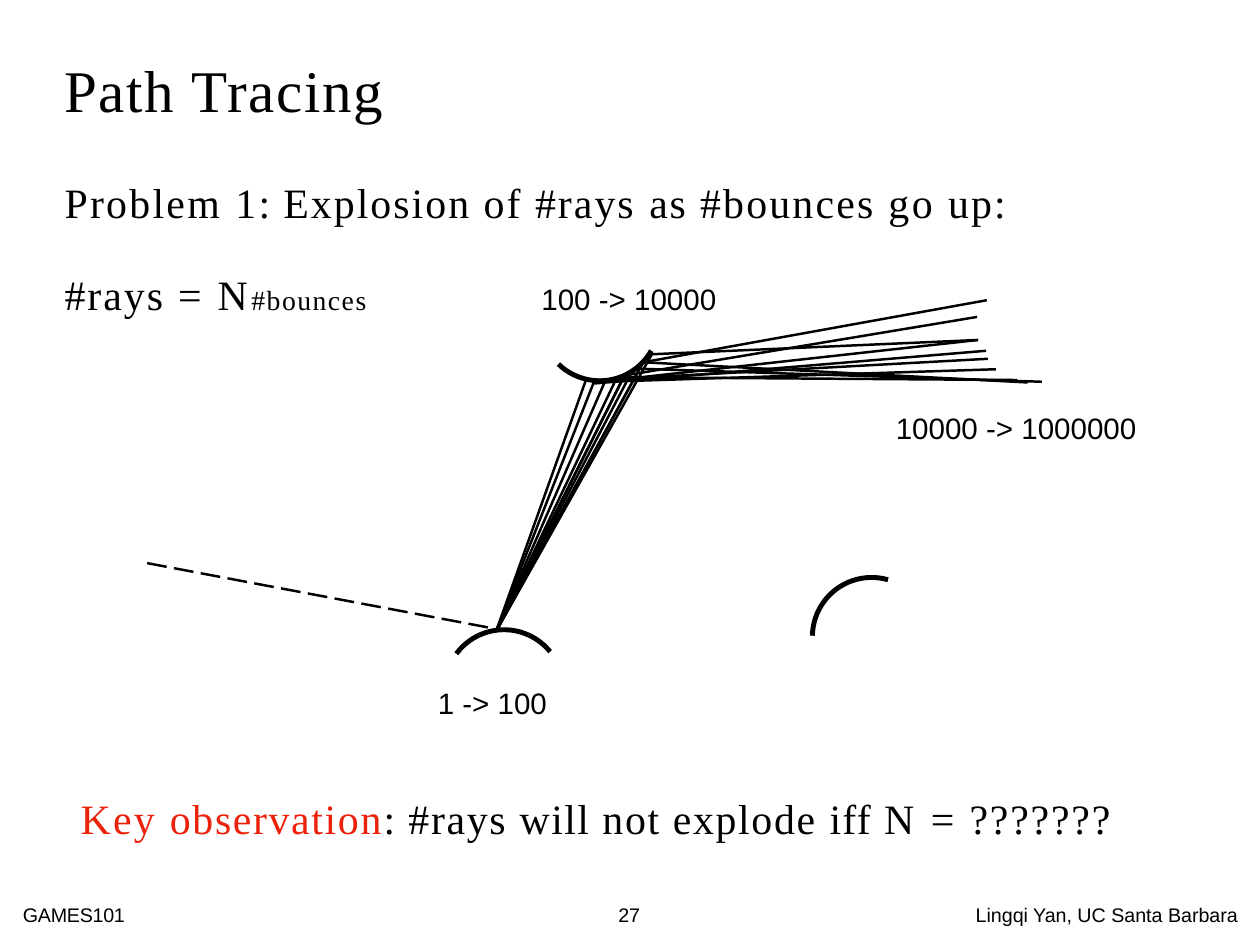
from math import cos, radians, sin

from lxml.etree import SubElement
from pptx import Presentation
from pptx.dml.color import RGBColor
from pptx.enum.dml import MSO_LINE
from pptx.enum.shapes import MSO_CONNECTOR
from pptx.oxml.ns import qn
from pptx.util import Cm, Pt

COLOURS = {"ink": "000000", "accent": "EC210A", "paper": "FFFFFF"}
SERIF, SANS = "Times New Roman", "Arial"

# Offsets in cm from the point where the first ray hits: (bounce), (end)
RAYS = [
    ((3.12, -7.16), (14.33, -7.52)),
    ((2.57, -7.19), (14.10, -7.82)),
    ((4.47, -7.95), (13.82, -8.36)),
    ((3.66, -7.29), (14.94, -7.21)),
    ((4.22, -7.72), (14.07, -9.50)),
    ((4.22, -7.72), (15.24, -7.14)),
    ((3.94, -7.54), (15.65, -7.16)),
    ((3.68, -7.34), (13.79, -9.02)),
    ((3.43, -7.21), (13.82, -8.36)),
    ((2.79, -7.11), (14.05, -8.05)),
]
# Centre offset in cm from the hit point, start and end angle in degrees
SURFACES = [
    ((0.23, 1.65), 216.5, 321),
    ((2.97, -8.89), 29.5, 134),
    ((10.77, 0.15), 181, 286),
]
SURFACE_RADIUS = 1.7
ARC_STEPS = 24


def colour(name):
    return RGBColor.from_string(COLOURS[name])


def add_text_frame(page, box):
    frame = page.shapes.add_textbox(*(Cm(length) for length in box)).text_frame
    frame.word_wrap = True
    frame.margin_left = frame.margin_right = 0
    frame.margin_top = frame.margin_bottom = 0
    return frame


def fill_paragraph(para, spans, font, size, line_spacing=None, tabs=()):
    """Write spans of (text, letter spacing in pt, optional overrides)."""
    if line_spacing:
        para.line_spacing = line_spacing
    if tabs:
        tab_list = SubElement(para._p.get_or_add_pPr(), qn("a:tabLst"))
        for position in tabs:
            SubElement(tab_list, qn("a:tab"), pos=str(Cm(position)), algn="l")
    for text, spacing, *overrides in spans:
        style = {"font": font, "size": size, "colour": "ink"}
        style.update(*overrides)
        span = para.add_run()
        span.text = text
        span.font.name = style["font"]
        span.font.size = Pt(style["size"])
        span.font.color.rgb = colour(style["colour"])
        span.font._element.set("spc", str(round(spacing * 100)))


def add_polyline(page, points, width):
    """Draw an open line through points given in cm."""
    start, *rest = [(Cm(x), Cm(y)) for x, y in points]
    builder = page.shapes.build_freeform(*start)
    builder.add_line_segments(rest, close=False)
    line = builder.convert_to_shape()
    line.fill.background()
    line.shadow.inherit = False
    line.line.color.rgb = colour("ink")
    line.line.width = Pt(width)


def add_eye_ray(page, start, end):
    ray = page.shapes.add_connector(
        MSO_CONNECTOR.STRAIGHT, *(Cm(length) for length in (*start, *end)))
    ray.line.color.rgb = colour("ink")
    ray.line.width = Pt(2)
    ray.line.dash_style = MSO_LINE.LONG_DASH
    SubElement(ray._element.spPr, qn("a:effectLst"))


def add_diagram(page, box):
    left, top, width, height = box
    hit_x, hit_y = left + 10, top + 9.5

    def place(offset):
        return hit_x + offset[0], hit_y + offset[1]

    for centre, first, last in SURFACES:
        centre_x, centre_y = place(centre)
        angles = [radians(first + (last - first) * step / ARC_STEPS)
                  for step in range(ARC_STEPS + 1)]
        add_polyline(page, [(centre_x + SURFACE_RADIUS * cos(angle),
                             centre_y + SURFACE_RADIUS * sin(angle))
                            for angle in angles], 4)
    add_eye_ray(page, place((-10, -1.96)), place((-0.03, -0.08)))
    for bounce, end in RAYS:
        add_polyline(page, [place((0, 0)), place(bounce), place(end)], 2)

    label = add_text_frame(page, (left + 21.46, top + 3.15, 7.32, 1.02))
    fill_paragraph(label.paragraphs[0], [("10000 -> 1000000", 0)], SANS, 24)


def add_heading(page, box):
    frame = add_text_frame(page, box)
    fill_paragraph(frame.paragraphs[0], [("Path Tracing", 1.4)], SERIF, 48, 1.14)
    problem = frame.add_paragraph()
    problem.space_before = Pt(37.5)
    fill_paragraph(problem, [
        ("Problem ", 1.9), ("1", 2), (": ", 1.1), ("Explosion of #rays ", 1.7),
        ("as ", 1.5), ("#bounces ", 1.8), ("go ", 2), ("up:", 1.7),
    ], SERIF, 34, 1.14)


def add_equation(page, box):
    frame = add_text_frame(page, box)
    fill_paragraph(frame.paragraphs[0], [
        ("#rays ", 1.7), ("= ", 2.3), ("N", 2.9),
        ("#bounces\t", 1.2, {"size": 22.5}),
        ("100 -> 10000", 0, {"font": SANS, "size": 24}),
    ], SERIF, 34, 1.23, tabs=[13.67])


def add_observation(page, box):
    frame = add_text_frame(page, box)
    first_count = frame.paragraphs[0]
    first_count._p.get_or_add_pPr().set("marL", str(Cm(10.24)))
    fill_paragraph(first_count, [("1 -> 100", 0)], SANS, 24)
    observation = frame.add_paragraph()
    observation.space_before = Pt(53.6)
    accent = {"colour": "accent"}
    fill_paragraph(observation, [
        ("Key ", 1.9, accent), ("observation", 1.4, accent), (": ", 1.1),
        ("#rays ", 1.4), ("will ", 1.2), ("not explode ", 1.4), ("iff ", 1.1),
        ("N ", 2.5), ("= ", 1.9), ("???????", 1.5),
    ], SERIF, 34, 1.14)


def add_footer(page, box):
    frame = add_text_frame(page, box)
    fill_paragraph(frame.paragraphs[0], [
        ("GAMES101\t", -0.2), ("27\t", -0.1), ("Lingqi Yan, UC Santa Barbara", 0),
    ], SANS, 16, 1.02, tabs=[17.07, 27.31])


def main():
    deck = Presentation()
    deck.slide_width, deck.slide_height = Cm(36.12), Cm(27.1)
    page = deck.slides.add_slide(deck.slide_layouts[6])
    page.background.fill.solid()
    page.background.fill.fore_color.rgb = colour("paper")
    add_diagram(page, (4.22, 8.61, 28.78, 11.15))
    add_heading(page, (1.85, 1.24, 28.5, 5.28))
    add_equation(page, (1.85, 7.39, 19.1, 1.75))
    add_observation(page, (2.31, 19.63, 31.5, 4.55))
    add_footer(page, (0.66, 25.88, 35.2, 0.69))
    deck.save("out.pptx")


if __name__ == "__main__":
    main()
